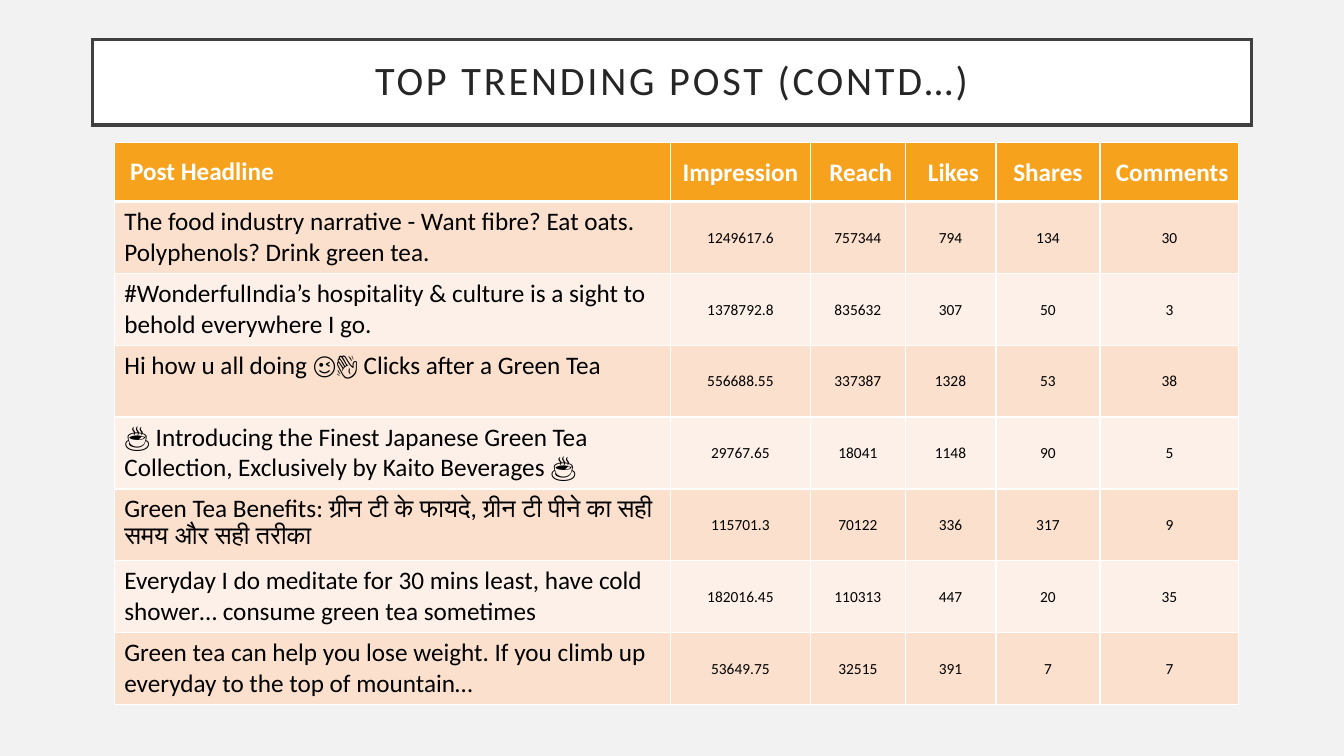
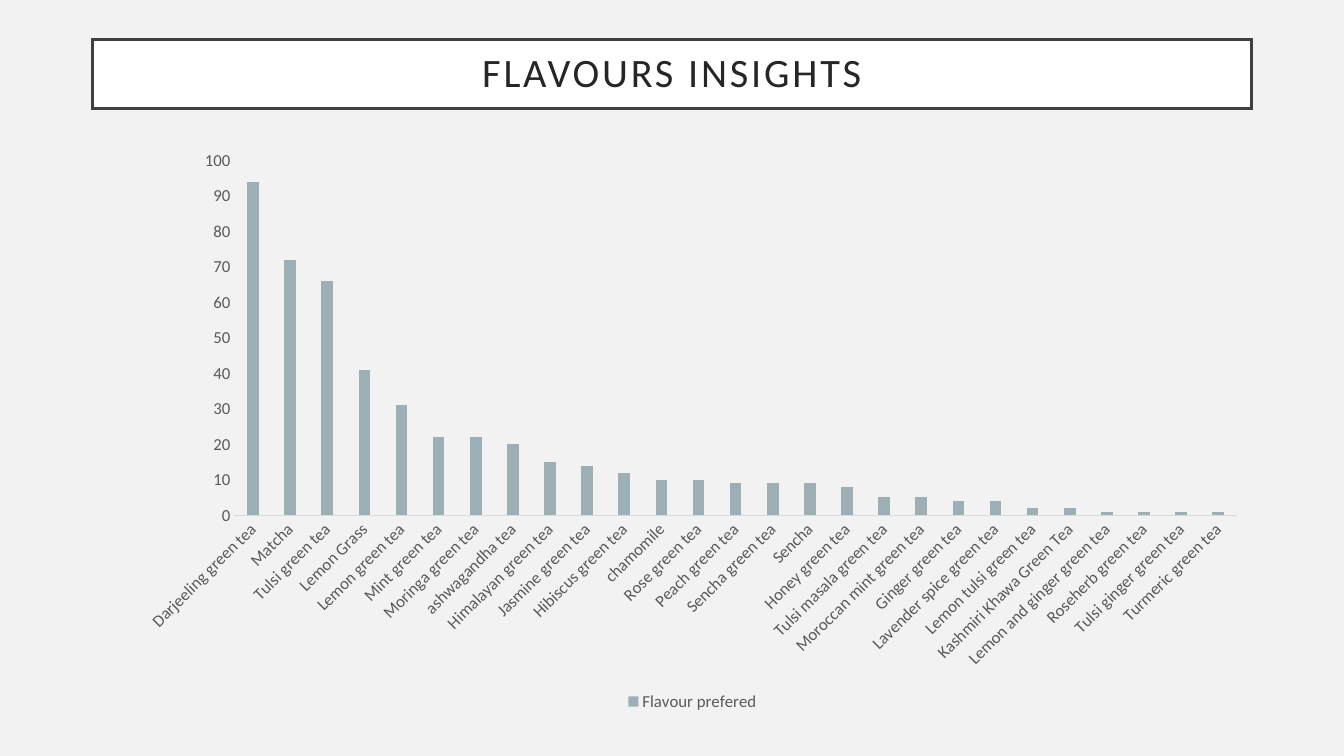
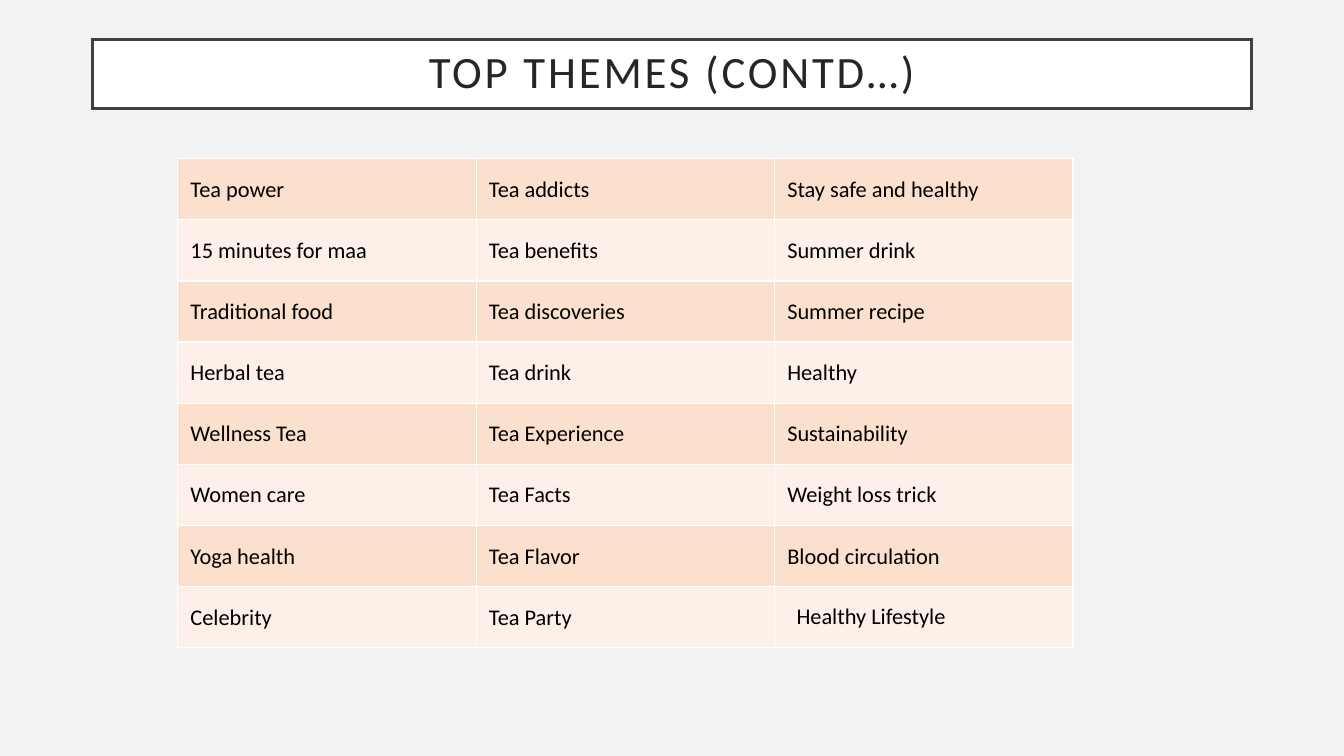
from lxml import etree
from pptx import Presentation
from pptx.chart.data import CategoryChartData
from pptx.dml.color import RGBColor
from pptx.enum import chart as ch, shapes, text
from pptx.oxml.ns import qn
from pptx.util import Cm, Pt

# Shared style
FONT = "Calibri"
BACKDROP = RGBColor(0xF2, 0xF2, 0xF2)
WHITE = RGBColor(0xFF, 0xFF, 0xFF)
BLACK = RGBColor(0, 0, 0)
FRAME = RGBColor(0x40, 0x40, 0x40)
TITLE_INK = RGBColor(0x26, 0x26, 0x26)
ORANGE = RGBColor(0xF6, 0xA2, 0x1D)
BANDS = (RGBColor(0xFB, 0xE0, 0xCD), RGBColor(0xFD, 0xF0, 0xE8))
AXIS_INK = RGBColor(0x59, 0x59, 0x59)
AXIS_LINE = RGBColor(0xD9, 0xD9, 0xD9)
BAR = RGBColor(0x9B, 0xAF, 0xB5)
TIGHT = Cm(0.02)
CENTER = text.PP_ALIGN.CENTER
MIDDLE = text.MSO_ANCHOR.MIDDLE

# Content
POST_HEADER = (" Post Headline", "Impression", " Reach", " Likes", "Shares", " Comments")
POST_COLS = (14.01, 3.54, 2.38, 2.29, 2.62, 3.5)
POSTS = [
    ("The food industry narrative - Want fibre? Eat oats. Polyphenols? Drink green tea.",
     "1249617.6", "757344", "794", "134", "30"),
    ("#WonderfulIndia’s hospitality & culture is a sight to behold everywhere I go.",
     "1378792.8", "835632", "307", "50", "3"),
    ("Hi how u all doing 😉👋 Clicks after a Green Tea",
     "556688.55", "337387", "1328", "53", "38"),
    ("🍵 Introducing the Finest Japanese Green Tea Collection, Exclusively by Kaito Beverages 🍵",
     "29767.65", "18041", "1148", "90", "5"),
    ("Green Tea Benefits: ग्रीन टी के फायदे, ग्रीन टी पीने का सही समय और सही तरीका",
     "115701.3", "70122", "336", "317", "9"),
    ("Everyday I do meditate for 30 mins least, have cold shower… consume green tea sometimes",
     "182016.45", "110313", "447", "20", "35"),
    ("Green tea can help you lose weight. If you climb up everyday to the top of mountain…",
     "53649.75", "32515", "391", "7", "7"),
]
FLAVOURS = [
    ("Darjeeling green tea", 94), ("Matcha", 72), ("Tulsi green tea", 66),
    ("Lemon Grass", 41), ("Lemon green tea", 31), ("Mint green tea", 22),
    ("Moringa green tea", 22), ("ashwagandha tea", 20), ("Himalayan green tea", 15),
    ("Jasmine green tea", 14), ("Hibiscus green tea", 12), ("chamomile", 10),
    ("Rose green tea", 10), ("Peach green tea", 9), ("Sencha green tea", 9),
    ("Sencha", 9), ("Honey green tea", 8), ("Tulsi masala green tea", 5),
    ("Moroccan mint green tea", 5), ("Ginger green tea", 4),
    ("Lavender spice green tea", 4), ("Lemon tulsi green tea", 2),
    ("Kashmiri Khawa Green Tea", 2), ("Lemon and ginger green tea", 1),
    ("Roseherb green tea", 1), ("Tulsi ginger green tea", 1), ("Turmeric green tea", 1),
]
THEMES = [
    ("Tea power", "Tea addicts", "Stay safe and healthy"),
    ("15 minutes for maa", "Tea benefits", "Summer drink"),
    ("Traditional food", "Tea discoveries", "Summer recipe"),
    ("Herbal tea", "Tea drink", "Healthy"),
    ("Wellness Tea", "Tea Experience", "Sustainability"),
    ("Women care", "Tea Facts", "Weight loss trick"),
    ("Yoga health", "Tea Flavor", "Blood circulation"),
    ("Celebrity", "Tea Party", "Healthy Lifestyle"),
]


def set_font(font, size, color, bold=False):
    font.name, font.size, font.bold = FONT, Pt(size), bold
    font.color.rgb = color


def add_titled_slide(prs, title, height, size=28.8):
    s = prs.slides.add_slide(prs.slide_layouts[6])
    sp = s.shapes.add_shape(shapes.MSO_SHAPE.RECTANGLE, Cm(2.33), Cm(1), Cm(29.21), Cm(height))
    sp.shadow.inherit = False
    sp.fill.solid()
    sp.fill.fore_color.rgb = WHITE
    sp.line.color.rgb, sp.line.width = FRAME, Pt(2.5)
    # Square corners
    etree.SubElement(sp.line._get_or_add_ln(), qn("a:miter"), lim="800000")
    tf = sp.text_frame
    tf.text = title
    tf.word_wrap, tf.vertical_anchor = True, MIDDLE
    tf.margin_left = tf.margin_right = tf.margin_top = tf.margin_bottom = Cm(0.5)
    p = tf.paragraphs[0]
    p.alignment, p.line_spacing = CENTER, 0.9
    r = p.runs[0]
    set_font(r.font, size, TITLE_INK)
    r.font._element.set("spc", "200")
    return s


def add_grid(s, left, top, col_widths, row_heights):
    """Add a table without built-in banding."""
    frame = s.shapes.add_table(len(row_heights), len(col_widths), Cm(left), Cm(top),
                               Cm(sum(col_widths)), Cm(sum(row_heights)))
    table = frame.table
    table.first_row = table.horz_banding = False
    for col, width in zip(table.columns, col_widths):
        col.width = Cm(width)
    for row, height in zip(table.rows, row_heights):
        row.height = Cm(height)
    return table


def fill_cell(cell, label, size, fill, color=BLACK, bold=False, align=None,
              tight=True, anchor=MIDDLE, top=1, bottom=1):
    cell.text = label
    cell.vertical_anchor = anchor
    if tight:
        cell.margin_left = cell.margin_right = cell.margin_top = TIGHT
        cell.margin_bottom = 0
    p = cell.text_frame.paragraphs[0]
    p.alignment = align
    set_font(p.runs[0].font, size, color, bold)
    # White borders
    tc_pr = cell._tc.get_or_add_tcPr()
    for side, width in (("L", 1), ("R", 1), ("T", top), ("B", bottom)):
        ln = etree.SubElement(tc_pr, qn(f"a:ln{side}"), w=str(Pt(width)))
        solid = etree.SubElement(ln, qn("a:solidFill"))
        etree.SubElement(solid, qn("a:srgbClr"), val=str(WHITE))
    cell.fill.solid()
    cell.fill.fore_color.rgb = fill


def build_posts(prs):
    s = add_titled_slide(prs, "TOP TRENDING POST (CONTD…)", 2.15)
    table = add_grid(s, 2.88, 3.6, POST_COLS, [1.48] + [1.81] * len(POSTS))
    for c, label in enumerate(POST_HEADER):
        fill_cell(table.cell(0, c), label, 18, ORANGE, WHITE, True,
                  align=CENTER if c else None, tight=c > 0, bottom=3)
    for r, post in enumerate(POSTS):
        look = dict(fill=BANDS[r % 2], top=1 if r else 3)
        fill_cell(table.cell(r + 1, 0), post[0], 18, tight=False,
                  anchor=text.MSO_ANCHOR.TOP, **look)
        for c, figure in enumerate(post[1:], 1):
            fill_cell(table.cell(r + 1, c), figure, 11, align=CENTER, **look)


def build_flavours(prs):
    s = add_titled_slide(prs, "FLAVOURS INSIGHTS", 1.74)
    names, counts = zip(*FLAVOURS)
    data = CategoryChartData()
    data.categories = names
    data.add_series("Flavour prefered", counts)
    chart = s.shapes.add_chart(ch.XL_CHART_TYPE.COLUMN_CLUSTERED, Cm(3.16), Cm(3.5),
                               Cm(28.58), Cm(14.53), data).chart
    set_font(chart.font, 10, BLACK)
    chart.has_title = False
    chart.has_legend = True
    chart.legend.position = ch.XL_LEGEND_POSITION.BOTTOM
    chart.legend.include_in_layout = False
    set_font(chart.legend.font, 12, AXIS_INK)
    # Columns
    plot = chart.plots[0]
    plot.gap_width, plot.overlap, plot.vary_by_categories = 219, -27, False
    bars = plot.series[0].format.fill
    bars.solid()
    bars.fore_color.rgb = BAR
    # Axes
    names_axis, count_axis = chart.category_axis, chart.value_axis
    for axis in (names_axis, count_axis):
        axis.has_major_gridlines = False
        axis.major_tick_mark = axis.minor_tick_mark = ch.XL_TICK_MARK.NONE
        set_font(axis.tick_labels.font, 12, AXIS_INK)
    names_axis.format.line.color.rgb = AXIS_LINE
    names_axis.format.line.width = Pt(0.75)
    names_axis._element.find(qn("c:txPr")).find(qn("a:bodyPr")).set("rot", "-2700000")
    count_axis.format.line.fill.background()
    count_axis.minimum_scale, count_axis.maximum_scale, count_axis.major_unit = 0, 100, 10


def build_themes(prs):
    s = add_titled_slide(prs, "TOP THEMES (CONTD…)", 1.74, 32)
    table = add_grid(s, 4.48, 4, [7.52] * 3, [1.54] * len(THEMES))
    for r, row in enumerate(THEMES):
        for c, theme in enumerate(row):
            cell = table.cell(r, c)
            fill_cell(cell, theme, 16, BANDS[r % 2], tight=theme != "Healthy Lifestyle")
            p_pr = cell.text_frame.paragraphs[0]._p.get_or_add_pPr()
            p_pr.set("marL", str(Cm(0.3)))


def main():
    prs = Presentation()
    prs.slide_width, prs.slide_height = Cm(33.87), Cm(19.05)
    backdrop = prs.slide_master.background.fill
    backdrop.solid()
    backdrop.fore_color.rgb = BACKDROP
    for build in (build_posts, build_flavours, build_themes):
        build(prs)
    prs.save("out.pptx")


if __name__ == "__main__":
    main()
